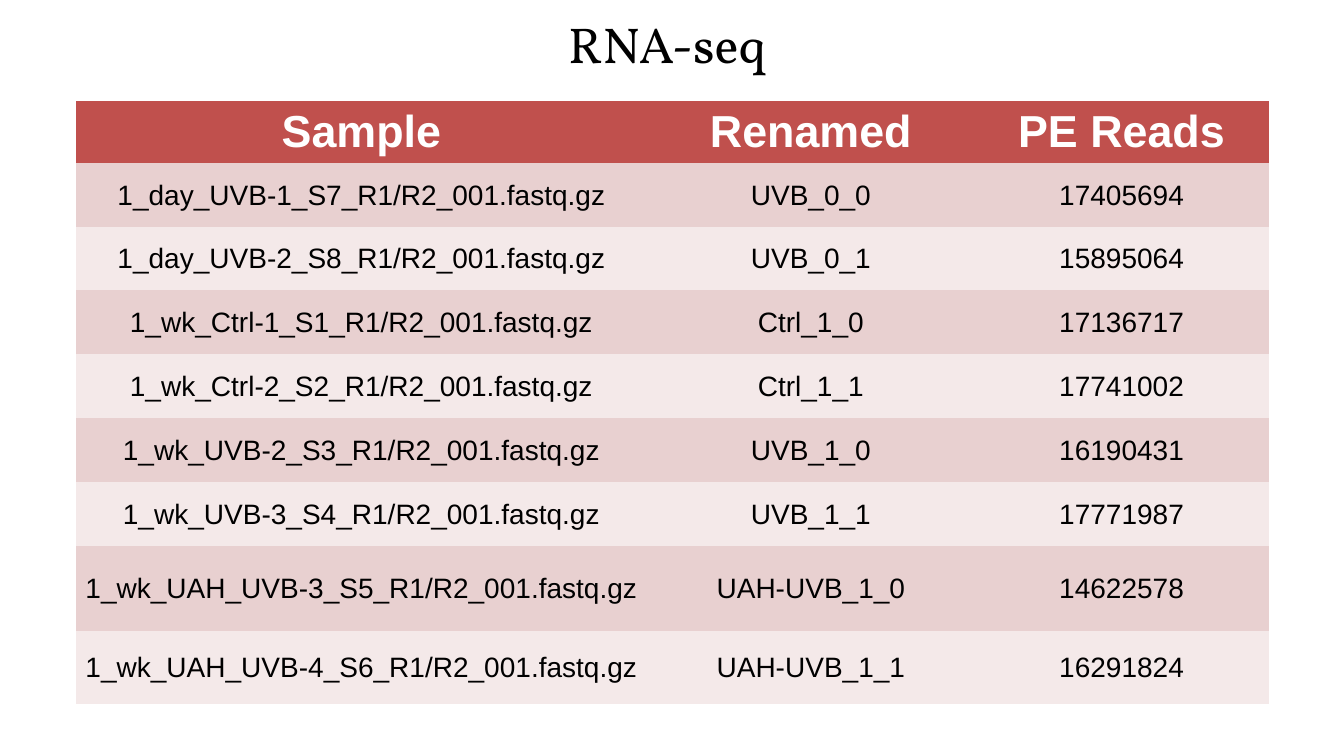
import pptx
import pptx.dml.color
import pptx.enum.text
import pptx.oxml.ns
import pptx.util

Cm, Pt = pptx.util.Cm, pptx.util.Pt
RGBColor = pptx.dml.color.RGBColor

TITLE = "RNA-seq"
HEADER = ("Sample", "Renamed", "PE Reads")
SAMPLES = [
    ("1_day_UVB-1_S7_R1/R2_001.fastq.gz", "UVB_0_0", "17405694"),
    ("1_day_UVB-2_S8_R1/R2_001.fastq.gz", "UVB_0_1", "15895064"),
    ("1_wk_Ctrl-1_S1_R1/R2_001.fastq.gz", "Ctrl_1_0", "17136717"),
    ("1_wk_Ctrl-2_S2_R1/R2_001.fastq.gz", "Ctrl_1_1", "17741002"),
    ("1_wk_UVB-2_S3_R1/R2_001.fastq.gz", "UVB_1_0", "16190431"),
    ("1_wk_UVB-3_S4_R1/R2_001.fastq.gz", "UVB_1_1", "17771987"),
    ("1_wk_UAH_UVB-3_S5_R1/R2_001.fastq.gz", "UAH-UVB_1_0", "14622578"),
    ("1_wk_UAH_UVB-4_S6_R1/R2_001.fastq.gz", "UAH-UVB_1_1", "16291824"),
]
COL_WIDTHS = (14.4, 8.25, 7.41)
ROW_HEIGHTS = [1.56] + [1.61] * 6 + [2.13, 1.85]

BLACK = RGBColor(0x00, 0x00, 0x00)
WHITE = RGBColor(0xFF, 0xFF, 0xFF)
RED = RGBColor(0xC0, 0x50, 0x4D)
BANDS = (RGBColor(0xE8, 0xD0, 0xD0), RGBColor(0xF4, 0xE9, 0xE9))
PLAIN_TABLE_STYLE = "{2D5ABB26-0587-4C30-8999-92F81FD0307C}"


def add_run(p, text, font, size, color, bold=False):
    r = p.add_run()
    r.text = text
    r.font.name = font
    r.font.size = Pt(size)
    r.font.bold = bold
    r.font.color.rgb = color


def add_title(s):
    tf = s.shapes.add_textbox(Cm(14.07), Cm(0.2), Cm(5.74), Cm(1.8)).text_frame
    tf.word_wrap = False
    tf.auto_size = pptx.enum.text.MSO_AUTO_SIZE.SHAPE_TO_FIT_TEXT
    add_run(tf.paragraphs[0], TITLE, "Vollkorn", 36, BLACK)


def fill_cell(cell, text, row):
    cell.vertical_anchor = pptx.enum.text.MSO_ANCHOR.MIDDLE
    cell.fill.solid()
    p = cell.text_frame.paragraphs[0]
    p.alignment = pptx.enum.text.PP_ALIGN.CENTER
    if row == 0:
        cell.fill.fore_color.rgb = RED
        add_run(p, text, "Arial", 32, WHITE, bold=True)
    else:
        cell.fill.fore_color.rgb = BANDS[(row - 1) % 2]
        cell.margin_left = cell.margin_right = cell.margin_top = Cm(0.03)
        cell.margin_bottom = 0
        add_run(p, text, "Arial", 20, BLACK)


def add_sample_table(s):
    rows = [HEADER] + SAMPLES
    frame = s.shapes.add_table(len(rows), len(HEADER), Cm(1.91), Cm(2.54),
                               Cm(sum(COL_WIDTHS)), Cm(sum(ROW_HEIGHTS)))
    for style in frame.element.iter(pptx.oxml.ns.qn("a:tableStyleId")):
        style.text = PLAIN_TABLE_STYLE
    table = frame.table
    for column, width in zip(table.columns, COL_WIDTHS):
        column.width = Cm(width)
    for i, texts in enumerate(rows):
        table.rows[i].height = Cm(ROW_HEIGHTS[i])
        for j, text in enumerate(texts):
            fill_cell(table.cell(i, j), text, i)


def main():
    prs = pptx.Presentation()
    prs.slide_width, prs.slide_height = Cm(33.87), Cm(19.05)
    s = prs.slides.add_slide(prs.slide_layouts[6])
    add_sample_table(s)
    add_title(s)
    prs.save("out.pptx")


if __name__ == "__main__":
    main()
